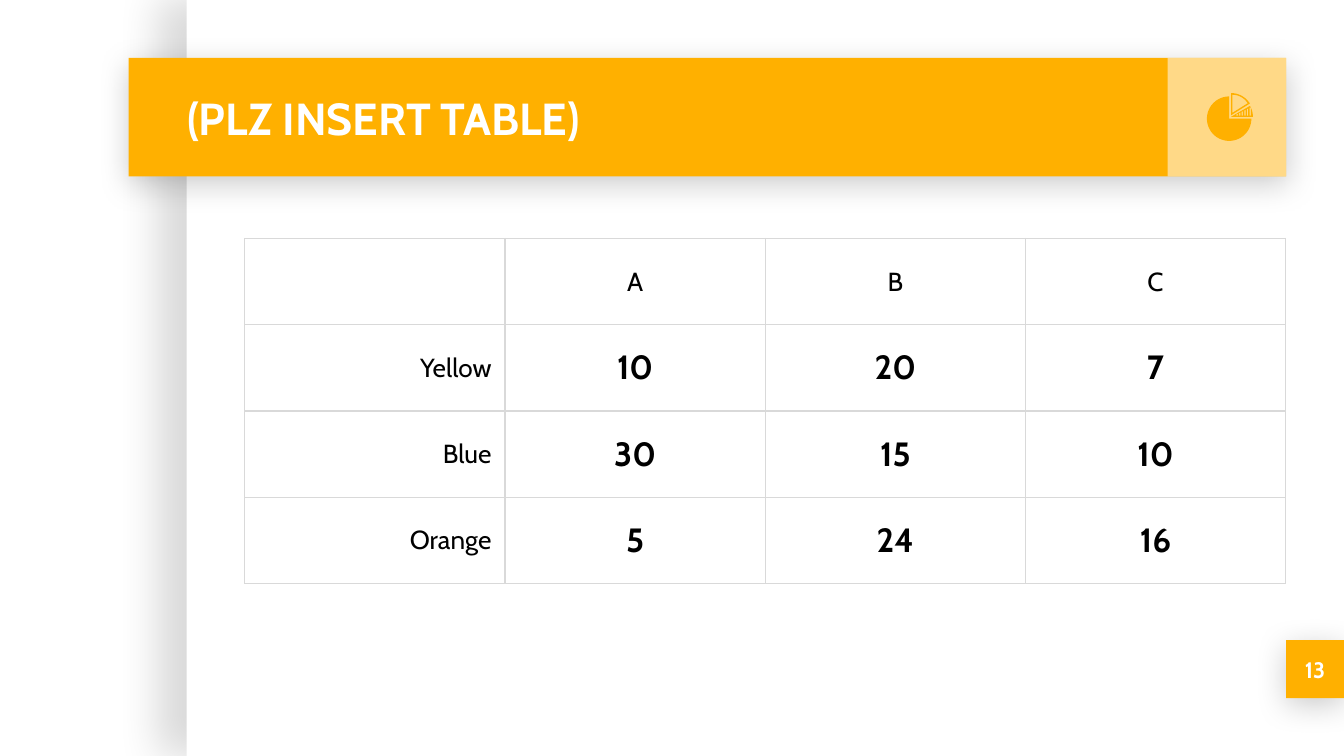
from dataclasses import dataclass
from math import cos, radians, sin
from typing import Optional

from lxml import etree
from pptx import Presentation
from pptx.dml.color import RGBColor
from pptx.enum.shapes import MSO_SHAPE
from pptx.enum.text import MSO_ANCHOR, PP_ALIGN
from pptx.oxml import parse_xml
from pptx.oxml.ns import qn
from pptx.util import Pt

RECT = MSO_SHAPE.RECTANGLE
MIDDLE = MSO_ANCHOR.MIDDLE
LEFT, CENTER, RIGHT = PP_ALIGN.LEFT, PP_ALIGN.CENTER, PP_ALIGN.RIGHT
FONT = "Cabin"
HUES = {"white": "FFFFFF", "gold": "FFB000", "grid": "D9D9D9", "black": "000000"}
SPACE = "http://schemas.openxmlformats.org/drawingml/2006/main"
UNITS = 100
Points = list[tuple[float, float]]


@dataclass
class Shade:
    alpha: int
    blur: float
    dist: float
    angle: int


@dataclass
class Box:
    left: float
    top: float
    width: float
    height: float
    hue: str
    shade: Optional[Shade] = None
    alpha: int = 100


DROP = Shade(20, 16.9, 3.8, 90)
PANEL = Box(100, 0, 620, 405, "white", Shade(15, 22.5, 15, 180))
BADGE = Box(689, 343, 31, 31, "gold", DROP)
BAR = Box(69, 31, 620, 63.5, "gold", DROP)
TILE = Box(625.5, 31, 63.5, 63.5, "white", alpha=53)

ROWS = [
    ["", "A", "B", "C"],
    ["Yellow", "10", "20", "7"],
    ["Blue", "30", "15", "10"],
    ["Orange", "5", "24", "16"],
]


def color(hue: str) -> RGBColor:
    return RGBColor.from_string(HUES[hue])


def paint(shape, hue: str) -> None:
    shape.fill.solid()
    shape.fill.fore_color.rgb = color(hue)
    shape.line.fill.background()
    shape.shadow.inherit = False


def draw_box(slide, box: Box):
    shape = slide.shapes.add_shape(
        RECT, Pt(box.left), Pt(box.top), Pt(box.width), Pt(box.height))
    paint(shape, box.hue)
    props = shape.element.spPr
    if box.alpha < 100:
        tint = props.find(qn("a:solidFill"))[0]
        etree.SubElement(tint, qn("a:alpha"), val=str(box.alpha * 1000))
    if box.shade:
        shade = box.shade
        props.find(qn("a:effectLst")).append(parse_xml(
            f'<a:outerShdw xmlns:a="{SPACE}" blurRad="{Pt(shade.blur)}" '
            f'dist="{Pt(shade.dist)}" dir="{shade.angle * 60000}" '
            f'algn="bl" rotWithShape="0"><a:srgbClr val="{HUES["black"]}">'
            f'<a:alpha val="{shade.alpha * 1000}"/></a:srgbClr></a:outerShdw>'))
    return shape


def write(frame, text: str, size: float, hue: str, align, bold: bool) -> None:
    frame.text = text
    para = frame.paragraphs[0]
    para.alignment = align
    para.font.name = FONT
    para.font.size = Pt(size)
    para.font.bold = bold
    para.font.color.rgb = color(hue)


def draw_title(slide, text: str) -> None:
    title = slide.shapes.title
    title.left, title.top = Pt(93), Pt(BAR.top)
    title.width, title.height = Pt(531), Pt(BAR.height)
    frame = title.text_frame
    frame.vertical_anchor = MIDDLE
    write(frame, text, 24, "white", LEFT, True)
    title.element.getparent().append(title.element)


def add_grid(cell) -> None:
    props = cell._tc.get_or_add_tcPr()
    for spot, side in enumerate(("lnL", "lnR", "lnT", "lnB")):
        props.insert(spot, parse_xml(
            f'<a:{side} xmlns:a="{SPACE}" w="{Pt(0.75)}"><a:solidFill>'
            f'<a:srgbClr val="{HUES["grid"]}"/></a:solidFill></a:{side}>'))


def draw_table(slide, rows: list[list[str]]) -> None:
    wide, high = 139.4, 46.2
    count = len(rows[0])
    table = slide.shapes.add_table(
        len(rows), count, Pt(131.2), Pt(127.8),
        Pt(wide * count), Pt(high * len(rows))).table
    table.first_row = table.horz_banding = False
    for col in table.columns:
        col.width = Pt(wide)
    for r, row in enumerate(rows):
        table.rows[r].height = Pt(high)
        for c, text in enumerate(row):
            cell = table.cell(r, c)
            cell.fill.background()
            add_grid(cell)
            cell.vertical_anchor = MIDDLE
            cell.margin_left = cell.margin_right = Pt(7.2)
            cell.margin_top = cell.margin_bottom = Pt(5)
            if text:
                data = r > 0 and c > 0
                align = CENTER if c else RIGHT
                write(cell.text_frame, text, 18 if data else 14,
                      "black", align, data)


def wedge(x: float, y: float, radius: float, start: int, end: int) -> Points:
    steps = max(6, (end - start) // 5)
    turns = [radians(start + (end - start) * i / steps) for i in range(steps + 1)]
    return [(x, y)] + [(x + radius * cos(t), y + radius * sin(t)) for t in turns]


def draw_free(slide, paths: list[Points]) -> None:
    scaled = [[(x * UNITS, y * UNITS) for x, y in path] for path in paths]
    form = slide.shapes.build_freeform(*scaled[0][0], scale=Pt(1) / UNITS)
    for i, path in enumerate(scaled):
        if i:
            form.move_to(*path[0])
        form.add_line_segments(path[1:], close=True)
    paint(form.convert_to_shape(), "gold")


def draw_icon(slide) -> None:
    draw_free(slide, [wedge(658.5, 63.6, 11.9, 0, 270)])
    bars = []
    for i in range(6):
        x, y = 662.4 + 1.4 * i, 61.3 - 0.7 * i
        bars.append([(x, 62), (x, y), (x + 0.7, y - 0.35), (x + 0.7, 62)])
    draw_free(slide, [wedge(659.5, 62.6, 11.7, -30, 0)] + bars)
    draw_free(slide, [wedge(659.5, 61.8, 11.9, -90, -32),
                      wedge(660.2, 60.5, 9.7, -90, -32)])


def main() -> None:
    deck = Presentation()
    deck.slide_width, deck.slide_height = Pt(720), Pt(405)
    slide = deck.slides.add_slide(deck.slide_layouts[5])
    draw_box(slide, PANEL)
    badge = draw_box(slide, BADGE)
    draw_box(slide, BAR)
    draw_box(slide, TILE)
    draw_title(slide, "(PLZ INSERT TABLE)")
    draw_table(slide, ROWS)
    frame = badge.text_frame
    frame.vertical_anchor = MIDDLE
    write(frame, "13", 12, "white", CENTER, True)
    draw_icon(slide)
    deck.save("out.pptx")


if __name__ == "__main__":
    main()
